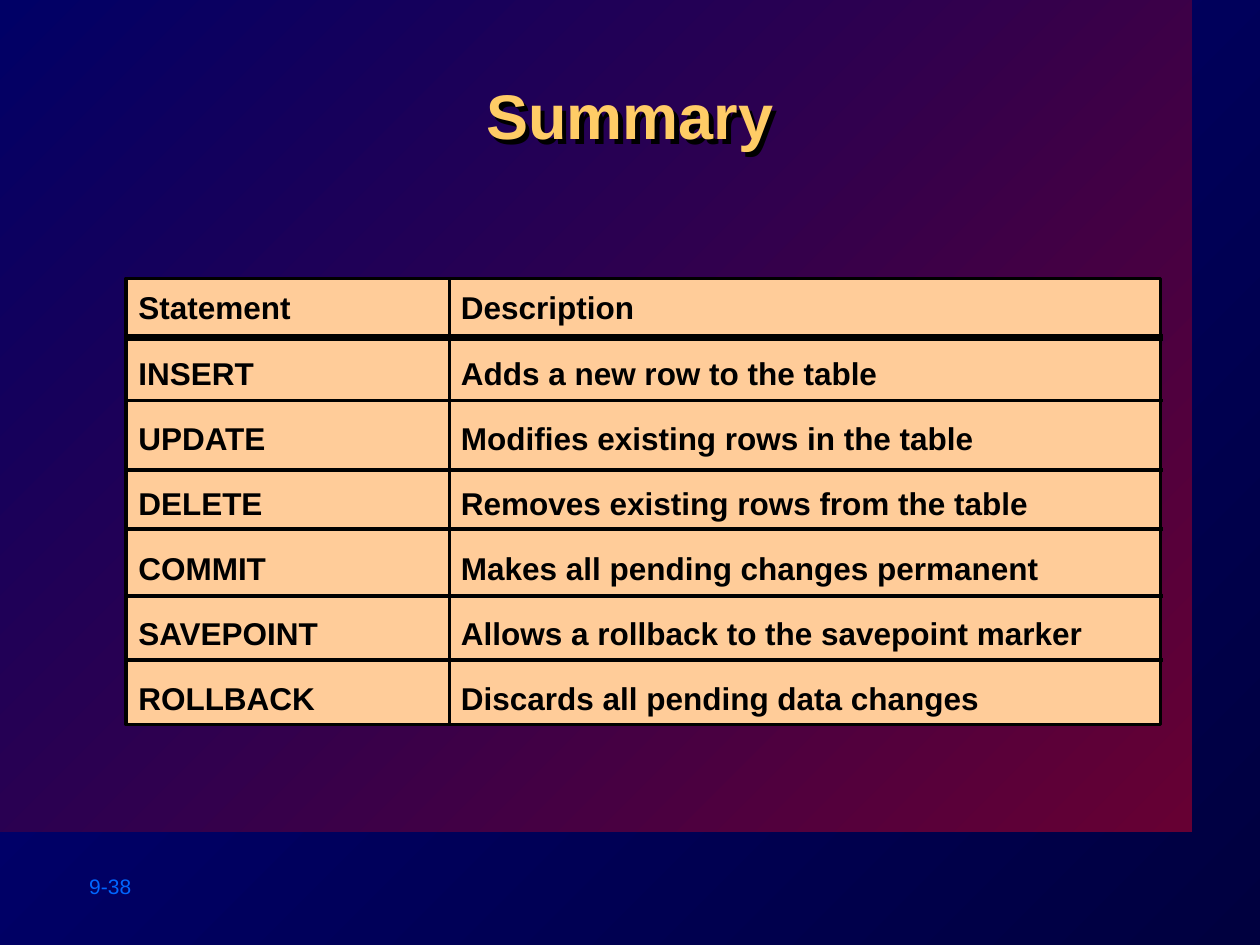
from lxml.etree import SubElement
from pptx import Presentation
from pptx.dml.color import RGBColor
from pptx.enum.shapes import MSO_CONNECTOR as Connector, MSO_SHAPE as Shape
from pptx.enum.text import MSO_ANCHOR as Anchor, PP_ALIGN as Align
from pptx.oxml.ns import qn
from pptx.util import Inches, Pt

NAVY = RGBColor(0x00, 0x00, 0x3F)
BLUE = RGBColor(0x00, 0x00, 0x80)
WINE = RGBColor(0x66, 0x00, 0x33)
INDIGO = RGBColor(0x00, 0x00, 0x66)
GOLD = RGBColor(0xFF, 0xCC, 0x66)
PEACH = RGBColor(0xFF, 0xCC, 0x99)
BLACK = RGBColor(0x00, 0x00, 0x00)
AZURE = RGBColor(0x00, 0x66, 0xFF)

TITLE = "Summary"
PAGE_LABEL = "9-38"
STATEMENTS = ["Statement", "INSERT", "UPDATE", "DELETE", "COMMIT", "SAVEPOINT", "ROLLBACK"]
DESCRIPTIONS = [
    "Description",
    "Adds a new row to the table",
    "Modifies existing rows in the table",
    "Removes existing rows from the table",
    "Makes all pending changes permanent",
    "Allows a rollback to the savepoint marker",
    "Discards all pending data changes",
]
COLUMNS = [(3.56, 5.65, DESCRIPTIONS), (1, 2.57, STATEMENTS)]
GRID_TOP, GRID_HEIGHT = 2.21, 3.54
RULE_LEFT, RULE_RIGHT = 0.99, 9.23
RULES = [(2.68, 4), (3.18, 2), (3.73, 2), (4.2, 2), (4.73, 2), (5.24, 2)]


def shade(fill, start, end):
    fill.gradient()
    fill.gradient_angle = 135
    for stop, color in zip(fill.gradient_stops, (start, end)):
        stop.color.rgb = color


def write(para, text, size, color, bold=False):
    span = para.add_run()
    span.text = text
    span.font.size = Pt(size)
    span.font.name = "Arial"
    span.font.bold = bold
    span.font.color.rgb = color


def add_text_shadow(box):
    effects = SubElement(box._element.spPr, qn("a:effectLst"))
    shadow = SubElement(effects, qn("a:outerShdw"), dist=str(Inches(0.05)),
                        dir="2700000", algn="ctr", rotWithShape="0")
    SubElement(shadow, qn("a:srgbClr"), val=str(BLACK))


def add_column(page, left, width, texts):
    box = page.shapes.add_shape(Shape.RECTANGLE, Inches(left), Inches(GRID_TOP),
                                Inches(width), Inches(GRID_HEIGHT))
    box.shadow.inherit = False
    box.fill.solid()
    box.fill.fore_color.rgb = PEACH
    box.line.color.rgb = BLACK
    box.line.width = Pt(2)
    frame = box.text_frame
    frame.word_wrap = True
    frame.vertical_anchor = Anchor.TOP
    for index, text in enumerate(texts):
        para = frame.add_paragraph() if index else frame.paragraphs[0]
        para.alignment = Align.LEFT
        para.line_spacing = 1.1
        if index:
            para.space_before = Pt(13.5)
        write(para, text, 18, BLACK, True)


def add_rule(page, top, width):
    rule = page.shapes.add_connector(Connector.STRAIGHT, Inches(RULE_LEFT), Inches(top),
                                     Inches(RULE_RIGHT), Inches(top))
    rule.line.color.rgb = BLACK
    rule.line.width = Pt(width)
    SubElement(rule._element.spPr, qn("a:effectLst"))


def main():
    deck = Presentation()
    deck.slide_width, deck.slide_height = Inches(10), Inches(7.5)
    page = deck.slides.add_slide(deck.slide_layouts[5])
    shade(page.background.fill, NAVY, BLUE)

    title = page.shapes.title
    panel = page.shapes.add_shape(Shape.RECTANGLE, 0, 0, Inches(9.46), Inches(6.6))
    panel.shadow.inherit = False
    panel.line.fill.background()
    shade(panel.fill, WINE, INDIGO)
    title._element.addprevious(panel._element)

    title.left, title.top = Inches(1.01), Inches(0.56)
    title.width, title.height = Inches(7.98), Inches(0.96)
    title.text_frame.vertical_anchor = Anchor.TOP
    para = title.text_frame.paragraphs[0]
    para.alignment = Align.CENTER
    write(para, TITLE, 36, GOLD, True)
    add_text_shadow(title)

    label = page.shapes.add_textbox(Inches(0.61), Inches(6.88), Inches(1.11), Inches(0.3))
    label.text_frame.word_wrap = True
    write(label.text_frame.paragraphs[0], PAGE_LABEL, 12, AZURE)

    for left, width, texts in COLUMNS:
        add_column(page, left, width, texts)
    for top, width in RULES:
        add_rule(page, top, width)
    deck.save("out.pptx")


if __name__ == "__main__":
    main()
